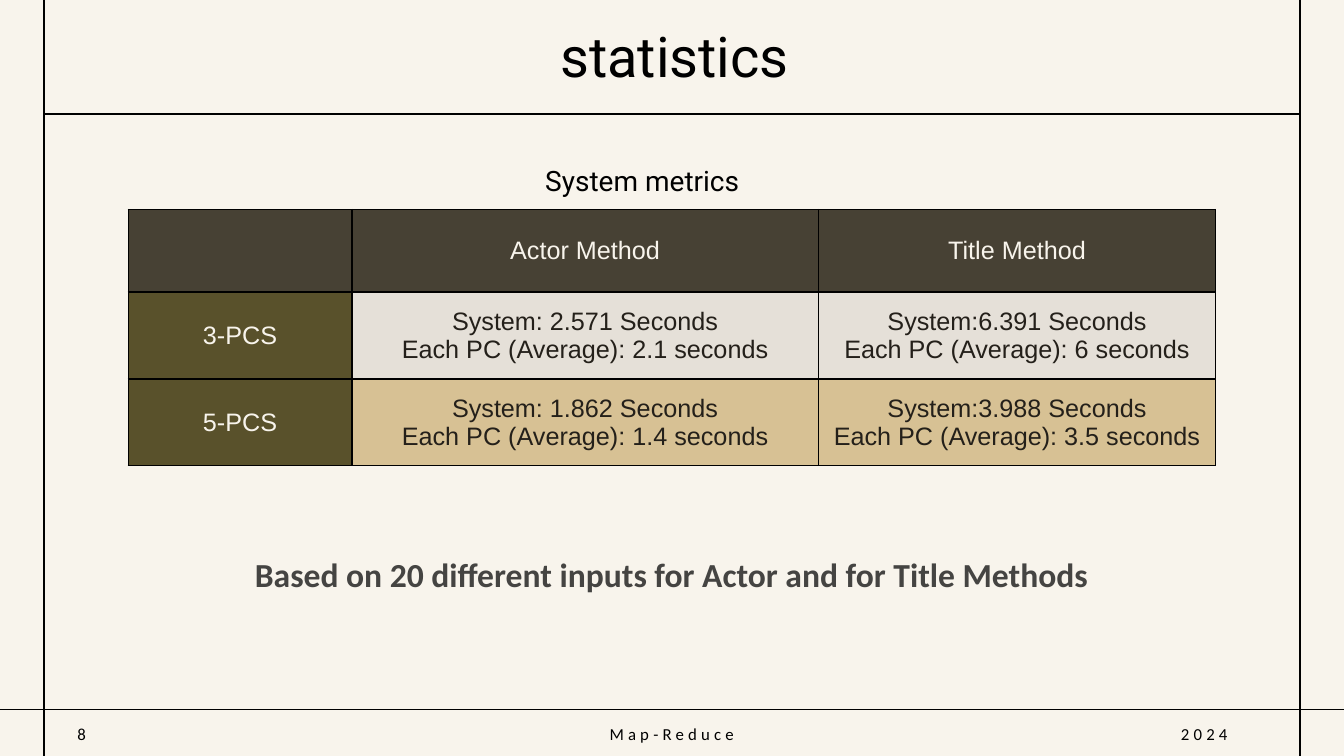
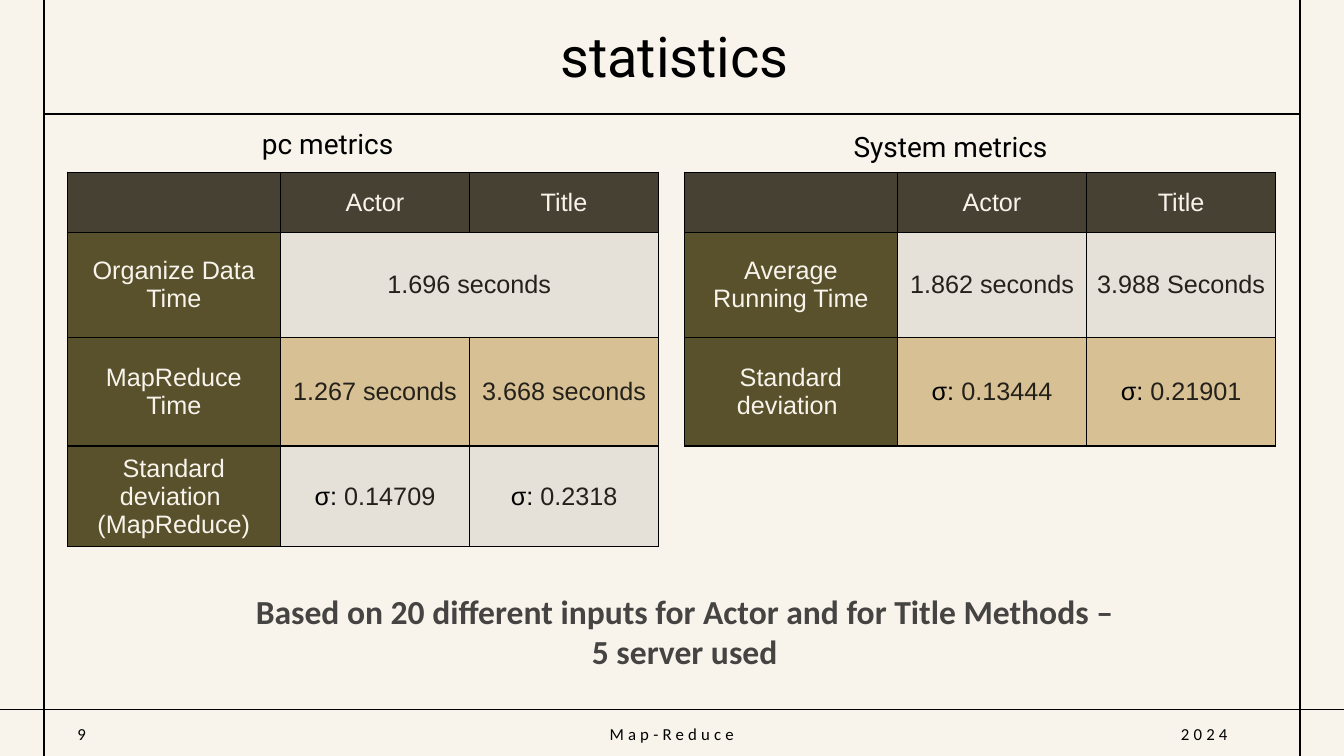
from dataclasses import dataclass

from lxml.etree import SubElement
from pptx import Presentation
from pptx.dml.color import RGBColor
from pptx.enum.shapes import MSO_CONNECTOR
from pptx.enum.text import MSO_ANCHOR, PP_ALIGN
from pptx.oxml.ns import qn
from pptx.util import Cm, Pt


@dataclass(frozen=True)
class TextStyle:
    font: str
    size: int
    color: str
    bold: bool = False
    align: PP_ALIGN = PP_ALIGN.LEFT
    anchor: MSO_ANCHOR = MSO_ANCHOR.MIDDLE
    line_spacing: float = 1.0
    space_before: int = 0
    letter_spacing: int = 0


@dataclass(frozen=True)
class Theme:
    background: str = "F8F4EC"
    ink: str = "000000"
    header_fill: str = "474134"
    label_fill: str = "59512B"
    band_fills: tuple = ("E5E0D8", "D7C194")
    rule_width: float = 1.25
    border_width: float = 1
    title = TextStyle("Roboto", 40, "000000", align=PP_ALIGN.CENTER, line_spacing=0.9)
    caption = TextStyle("Roboto", 20, "000000", anchor=MSO_ANCHOR.TOP,
                        line_spacing=0.9, space_before=10)
    note = TextStyle("Calibri", 24, "454442", bold=True, align=PP_ALIGN.CENTER)
    footer = TextStyle("Calibri", 12, "000000", letter_spacing=3)
    footer_center = TextStyle("Calibri", 12, "000000", align=PP_ALIGN.CENTER, letter_spacing=3)
    cell_light = TextStyle("Arial", 18, "F8F4EC", align=PP_ALIGN.CENTER)
    cell_dark = TextStyle("Arial", 18, "24201A", align=PP_ALIGN.CENTER)


THEME = Theme()
SIGMA = "σ: "

# All lengths are in centimetres.
SLIDE_WIDTH, SLIDE_HEIGHT = 33.87, 19.05
LEFT_RULE, RIGHT_RULE = 1.11, 32.76
TITLE_RULE, FOOTER_RULE = 2.87, 17.88
RULES = [
    (LEFT_RULE, TITLE_RULE, RIGHT_RULE, TITLE_RULE),
    (0, FOOTER_RULE, SLIDE_WIDTH, FOOTER_RULE),
    (LEFT_RULE, SLIDE_HEIGHT, LEFT_RULE, 0),
    (RIGHT_RULE, SLIDE_HEIGHT, RIGHT_RULE, 0),
]
TITLE_BOX = (5.66, 0.15, 22.68, 2.69)
FOOTER_TOP, FOOTER_HEIGHT = 18.11, 0.76
CAPTION_SIZE = (6.91, 1.3)
NOTE_SIZE = (22.63, 2.39)
PAIR_COLUMNS = (5.36, 4.78, 4.75)

# None continues the cell on its left.
SLIDES = [
    {
        "title": "statistics",
        "number": "8",
        "tables": [
            {
                "caption": "System metrics",
                "caption_at": (13.49, 4.09),
                "at": (3.23, 5.28),
                "columns": (5.64, 11.75, 10.02),
                "rows": (2.08, 2.19, 2.19),
                "cells": [
                    ("", "Actor Method", "Title Method"),
                    ("3-PCS",
                     "System: 2.571 Seconds\nEach PC (Average): 2.1 seconds",
                     "System:6.391 Seconds\nEach PC (Average): 6 seconds"),
                    ("5-PCS",
                     "System: 1.862 Seconds\nEach PC (Average): 1.4 seconds",
                     "System:3.988 Seconds\nEach PC (Average): 3.5 seconds"),
                ],
            },
        ],
        "note": "Based on 20 different inputs for Actor and for Title Methods",
        "note_at": (5.61, 13.28),
    },
    {
        "title": "statistics",
        "number": "9",
        "tables": [
            {
                "caption": "pc metrics",
                "caption_at": (6.35, 3.15),
                "at": (1.7, 4.34),
                "columns": PAIR_COLUMNS,
                "rows": (1.52, 2.64, 2.74, 2.49),
                "cells": [
                    ("", "Actor", "Title"),
                    ("Organize Data\nTime", "1.696 seconds", None),
                    ("MapReduce Time", "1.267 seconds", "3.668 seconds"),
                    ("Standard deviation \n(MapReduce)", "σ: 0.14709", "σ: 0.2318"),
                ],
            },
            {
                "caption": "System metrics",
                "caption_at": (21.26, 3.23),
                "at": (17.25, 4.34),
                "columns": PAIR_COLUMNS,
                "rows": (1.52, 2.64, 2.74),
                "cells": [
                    ("", "Actor", "Title"),
                    ("Average Running Time", "1.862 seconds", "3.988 Seconds"),
                    ("Standard deviation ", "σ: 0.13444", "σ: 0.21901"),
                ],
            },
        ],
        "note": "Based on 20 different inputs for Actor and for Title Methods – 5 server used",
        "note_at": (5.94, 14.71),
    },
]


def rgb(color):
    return RGBColor.from_string(color)


def write_text(text_frame, text, style):
    """Write one paragraph a line; a leading sigma takes the ink colour."""
    text_frame.word_wrap = True
    text_frame.text = text
    for paragraph in text_frame.paragraphs:
        paragraph.alignment = style.align
        paragraph.line_spacing = style.line_spacing
        paragraph.space_before = Pt(style.space_before)
        if paragraph.text.startswith(SIGMA):
            value = paragraph.text.removeprefix(SIGMA)
            paragraph.runs[0].text = SIGMA
            paragraph.add_run().text = value
        for run in paragraph.runs:
            run.font.name = style.font
            run.font.size = Pt(style.size)
            run.font.bold = style.bold
            run.font.color.rgb = rgb(THEME.ink if run.text == SIGMA else style.color)
            if style.letter_spacing:
                run.font._element.set("spc", str(style.letter_spacing * 100))


def add_text(slide, text, style, left, top, width, height):
    shape = slide.shapes.add_textbox(Cm(left), Cm(top), Cm(width), Cm(height))
    shape.text_frame.vertical_anchor = style.anchor
    write_text(shape.text_frame, text, style)


def set_up_layout(layout, slide):
    """Give the layout its background, title place and rules, drawn by way of a slide."""
    fill = layout.background.fill
    fill.solid()
    fill.fore_color.rgb = rgb(THEME.background)
    title = layout.placeholders[0]
    title.left, title.top, title.width, title.height = map(Cm, TITLE_BOX)
    for ends in RULES:
        rule = slide.shapes.add_connector(MSO_CONNECTOR.STRAIGHT, *map(Cm, ends))
        rule.line.color.rgb = rgb(THEME.ink)
        rule.line.width = Pt(THEME.rule_width)
        SubElement(rule.element.spPr, qn("a:effectLst"))
        layout.shapes.element.append(rule.element)


def add_borders(cell):
    properties = cell._tc.get_or_add_tcPr()
    for side in ("lnL", "lnR", "lnT", "lnB"):
        line = SubElement(properties, qn(f"a:{side}"), w=str(Pt(THEME.border_width)))
        fill = SubElement(line, qn("a:solidFill"))
        SubElement(fill, qn("a:srgbClr"), val=THEME.ink)


def cell_look(row, column):
    if row == 0:
        return THEME.header_fill, THEME.cell_light
    if column == 0:
        return THEME.label_fill, THEME.cell_light
    return THEME.band_fills[(row - 1) % 2], THEME.cell_dark


def add_metrics_table(slide, content):
    widths, heights = content["columns"], content["rows"]
    add_text(slide, content["caption"], THEME.caption, *content["caption_at"], *CAPTION_SIZE)
    table = slide.shapes.add_table(
        len(heights), len(widths), *map(Cm, content["at"]),
        Cm(sum(widths)), Cm(sum(heights))).table
    for column, width in zip(table.columns, widths):
        column.width = Cm(width)
    for row, height in zip(table.rows, heights):
        row.height = Cm(height)
    for row, texts in enumerate(content["cells"]):
        for column, text in enumerate(texts):
            cell = table.cell(row, column)
            fill, style = cell_look(row, column)
            add_borders(cell)
            cell.fill.solid()
            cell.fill.fore_color.rgb = rgb(fill)
            cell.vertical_anchor = style.anchor
            if text is None:
                table.cell(row, column - 1).merge(cell)
            elif text:
                write_text(cell.text_frame, text, style)


def add_footer(slide, number):
    for text, style, left, width in (
        (number, THEME.footer, 1.7, 2.64),
        ("Map-Reduce", THEME.footer_center, 13.36, 7.14),
        ("2024", THEME.footer, 29.51, 2.64),
    ):
        add_text(slide, text, style, left, FOOTER_TOP, width, FOOTER_HEIGHT)


def main():
    presentation = Presentation()
    presentation.slide_width, presentation.slide_height = Cm(SLIDE_WIDTH), Cm(SLIDE_HEIGHT)
    layout = presentation.slide_layouts.get_by_name("Title Only")
    for index, content in enumerate(SLIDES):
        slide = presentation.slides.add_slide(layout)
        if index == 0:
            set_up_layout(layout, slide)
        title = slide.shapes.title.text_frame
        title.vertical_anchor = THEME.title.anchor
        write_text(title, content["title"], THEME.title)
        for table in content["tables"]:
            add_metrics_table(slide, table)
        add_text(slide, content["note"], THEME.note, *content["note_at"], *NOTE_SIZE)
        add_footer(slide, content["number"])
    presentation.save("out.pptx")


if __name__ == "__main__":
    main()
